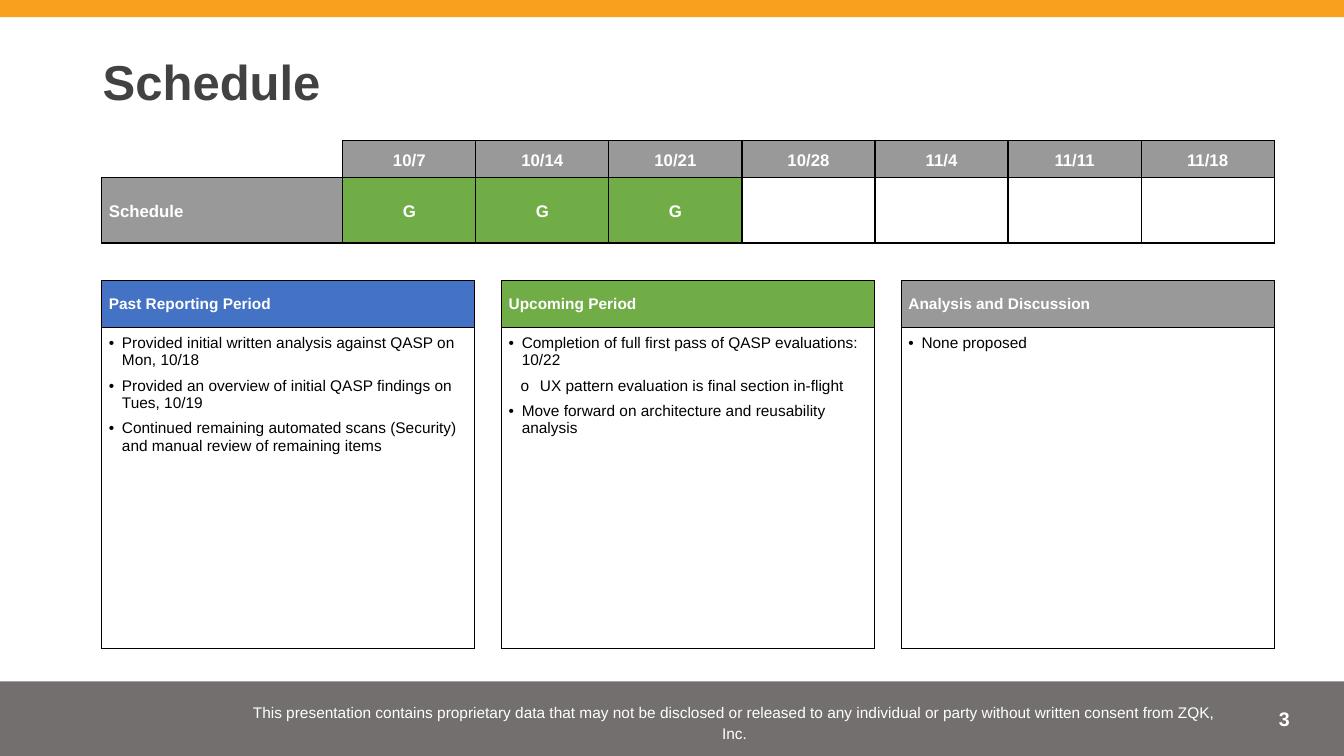
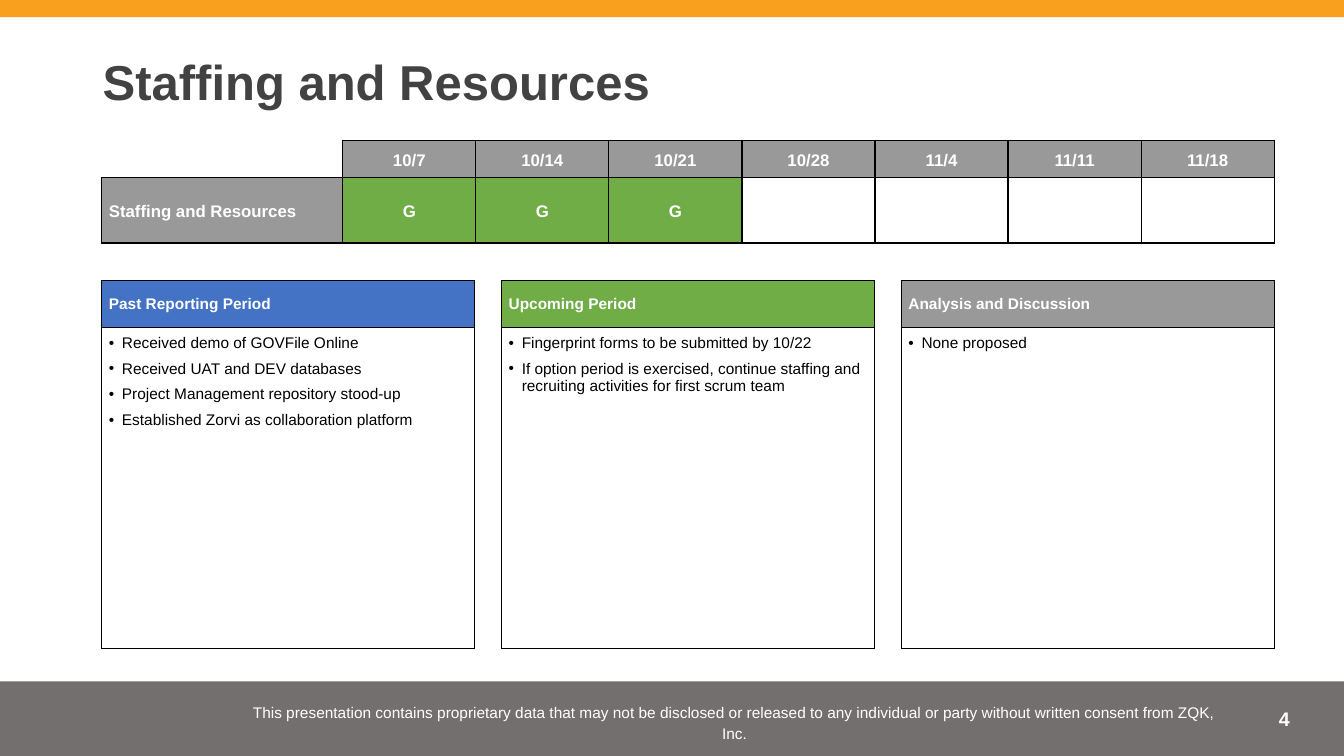
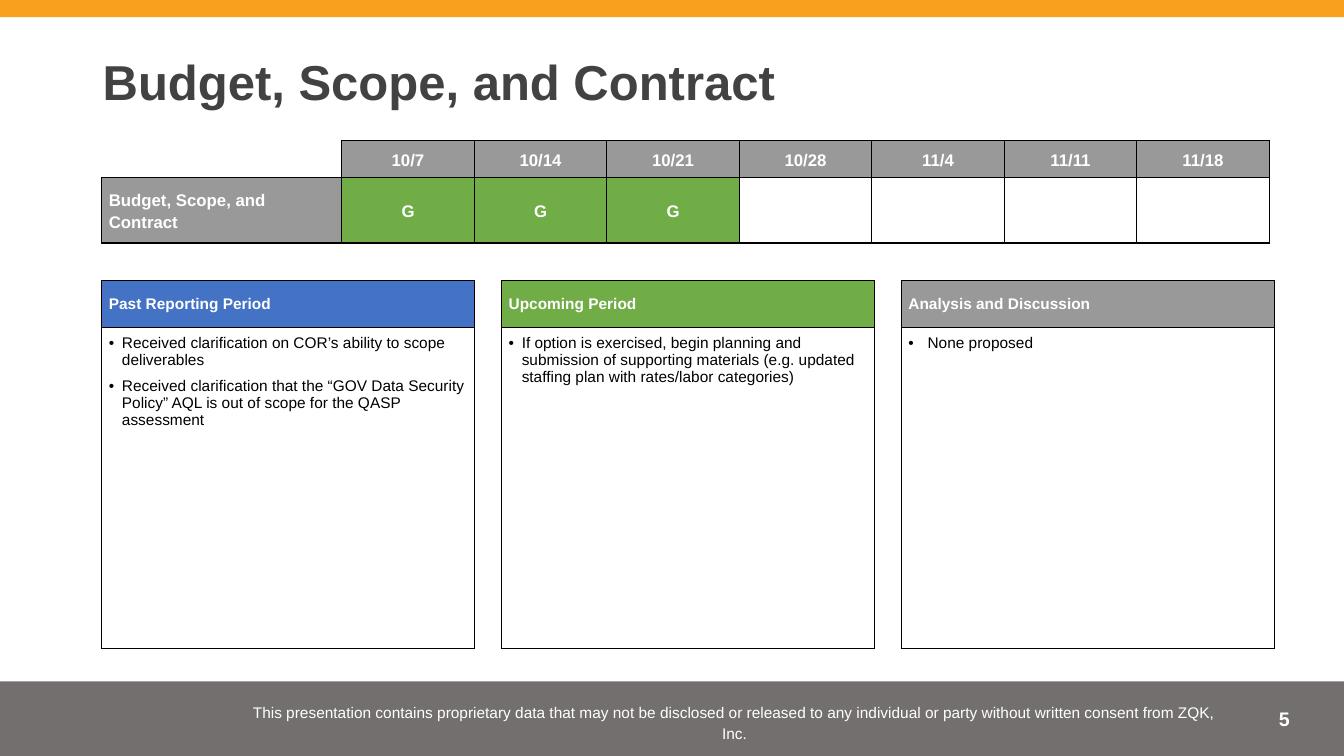
from dataclasses import dataclass
from itertools import product

from lxml.etree import SubElement
from pptx import Presentation
from pptx.dml.color import RGBColor
from pptx.enum.shapes import MSO_SHAPE as Preset
from pptx.enum.text import MSO_ANCHOR as Anchor, PP_ALIGN as Align
from pptx.oxml.ns import qn
from pptx.util import Inches, Pt


@dataclass(frozen=True)
class Theme:
    """Colours, font and type sizes shared by every slide."""
    font: str = "Arial"
    ink: str = "000000"
    paper: str = "FFFFFF"
    heading: str = "424242"
    accent: str = "F9A01E"
    footer: str = "4F4949"
    footer_opacity: int = 79
    blue: str = "4472C4"
    green: str = "70AD47"
    grey: str = "999999"
    title_size: int = 35
    number_size: int = 14
    status_size: int = 12
    body_size: int = 11
    cell_inset: float = 0.07
    border: int = 1


@dataclass(frozen=True)
class Bullet:
    """One list item with its mark and indents in inches."""
    text: str
    mark: str = "•"
    left: float = 0.13
    hang: float = 0.13


@dataclass(frozen=True)
class Report:
    """The content of one status slide."""
    topic: str
    past: list
    upcoming: list
    discussion: list
    status_width: float = 11.63
    label_width: float = 2.39


THEME = Theme()
SLIDE_W, SLIDE_H = 13.33, 7.5
FIRST_NUMBER = 3
NOTICE = ("This presentation contains proprietary data that may not be disclosed or released "
          "to any individual or party without written consent from ZQK, Inc.")
DATES = ["10/7", "10/14", "10/21", "10/28", "11/4", "11/11", "11/18"]
STATUSES = ["G"] * 3 + [""] * 4
REPORTS = [
    Report(
        "Schedule",
        [Bullet("Provided initial written analysis against QASP on Mon, 10/18"),
         Bullet("Provided an overview of initial QASP findings on Tues, 10/19"),
         Bullet("Continued remaining automated scans (Security) and manual review of remaining items")],
        [Bullet("Completion of full first pass of QASP evaluations: 10/22"),
         Bullet("UX pattern evaluation is final section in-flight", "o", 0.31, 0.19),
         Bullet("Move forward on architecture and reusability analysis")],
        [Bullet("None proposed")]),
    Report(
        "Staffing and Resources",
        [Bullet("Received demo of GOVFile Online"),
         Bullet("Received UAT and DEV databases"),
         Bullet("Project Management repository stood-up"),
         Bullet("Established Zorvi as collaboration platform")],
        [Bullet("Fingerprint forms to be submitted by 10/22"),
         Bullet("If option period is exercised, continue staffing and recruiting activities "
                "for first scrum team")],
        [Bullet("None proposed")]),
    Report(
        "Budget, Scope, and Contract",
        [Bullet("Received clarification on COR’s ability to scope deliverables"),
         Bullet("Received clarification that the “GOV Data Security Policy” AQL is out of scope "
                "for the QASP assessment")],
        [Bullet("If option is exercised, begin planning and submission of supporting materials "
                "(e.g. updated staffing plan with rates/labor categories)")],
        [Bullet("None proposed", left=0.19, hang=0.19)],
        status_width=11.58, label_width=2.38),
]


def assign(target, **formats):
    """Set each named format value on the target."""
    for name, value in formats.items():
        setattr(target, name, value)


def inches(*lengths):
    """Convert plain numbers to lengths."""
    return [Inches(length) for length in lengths]


def margins(x, y):
    """Return the four margin settings for the given insets."""
    return {f"margin_{side}": Inches(inset)
            for side, inset in (("left", x), ("right", x), ("top", y), ("bottom", y))}


def write(paragraph, text, size, color, bold=False, **formats):
    """Write one styled run into a paragraph."""
    assign(paragraph, **formats)
    run = paragraph.add_run()
    run.text = text
    assign(run.font, name=THEME.font, size=Pt(size), bold=bold)
    run.font.color.rgb = RGBColor.from_string(color)


def add_band(slide, box, color, opacity=100):
    """Draw a full-width colour band."""
    band = slide.shapes.add_shape(Preset.RECTANGLE, *inches(*box))
    band.shadow.inherit = False
    band.line.fill.background()
    band.fill.solid()
    band.fill.fore_color.rgb = RGBColor.from_string(color)
    if opacity < 100:
        tint = band.fill._xPr.find(qn("a:solidFill"))[0]
        SubElement(tint, qn("a:alpha"), val=str(opacity * 1000))


def add_label(slide, box, text, size, color, anchor=Anchor.MIDDLE, inset_y=0.1, **formats):
    """Place a wrapped text box with one paragraph."""
    frame = slide.shapes.add_textbox(*inches(*box)).text_frame
    assign(frame, word_wrap=True, vertical_anchor=anchor, **margins(0.1, inset_y))
    write(frame.paragraphs[0], text, size, color, **formats)


def add_frame(slide, number, title):
    """Place the bands, footer and title that every slide shares."""
    add_band(slide, (0, 6.76, SLIDE_W, 0.74), THEME.footer, THEME.footer_opacity)
    add_band(slide, (0, 0, SLIDE_W, 0.17), THEME.accent)
    add_label(slide, (11.81, 6.96, 1.08, 0.4), str(number), THEME.number_size, THEME.paper,
              Anchor.TOP, 0.05, bold=True, alignment=Align.RIGHT)
    add_label(slide, (2.27, 6.89, 10.03, 0.53), NOTICE, THEME.body_size, THEME.paper,
              alignment=Align.CENTER, line_spacing=1.15)
    add_label(slide, (0.92, 0.46, 11.5, 0.77), title, THEME.title_size, THEME.heading,
              bold=True, line_spacing=0.9)


def add_grid(slide, box, widths, heights):
    """Add an unbanded table with the given column widths and row heights."""
    table = slide.shapes.add_table(len(heights), len(widths), *inches(*box)).table
    assign(table, first_row=False, horz_banding=False)
    for column, width in zip(table.columns, widths):
        column.width = Inches(width)
    for row, height in zip(table.rows, heights):
        row.height = Inches(height)
    return table


def style_cell(cell, fill=None, sides="LRTB", anchor=Anchor.MIDDLE, inset_y=THEME.cell_inset):
    """Set the borders, insets and fill of a cell."""
    assign(cell, vertical_anchor=anchor, **margins(THEME.cell_inset, inset_y))
    properties = cell._tc.get_or_add_tcPr()
    for side in sides:
        edge = SubElement(properties, qn(f"a:ln{side}"), w=str(Pt(THEME.border)))
        SubElement(SubElement(edge, qn("a:solidFill")), qn("a:srgbClr"), val=THEME.ink)
    if fill:
        cell.fill.solid()
        cell.fill.fore_color.rgb = RGBColor.from_string(fill)
    else:
        cell.fill.background()


def add_status_table(slide, box, topic, label_width):
    """Add the weekly status table for a topic."""
    date_width = (box[2] - label_width) / len(DATES)
    header_height = 0.36
    table = add_grid(slide, box, [label_width] + [date_width] * len(DATES),
                     [header_height, box[3] - header_height])
    rows = [["", *DATES], [topic, *STATUSES]]
    for r, c in product(range(len(rows)), range(len(DATES) + 1)):
        cell, text = table.cell(r, c), rows[r][c]
        if not text:
            style_cell(cell, sides="LRTB" if r or c else "RB", inset_y=0)
            continue
        style_cell(cell, THEME.green if r and c else THEME.grey)
        write(cell.text_frame.paragraphs[0], text, THEME.status_size, THEME.paper, bold=True,
              alignment=Align.CENTER if c else Align.LEFT, line_spacing=1.15)


def write_bullet(paragraph, bullet):
    """Write a bullet with its mark and hanging indent."""
    write(paragraph, bullet.text, THEME.body_size, THEME.ink, space_after=Pt(6))
    properties = paragraph._p.get_or_add_pPr()
    properties.set("marL", str(Inches(bullet.left)))
    properties.set("indent", str(-Inches(bullet.hang)))
    SubElement(SubElement(properties, qn("a:buClr")), qn("a:srgbClr"), val=THEME.ink)
    SubElement(properties, qn("a:buFont"), typeface=THEME.font)
    SubElement(properties, qn("a:buChar"), char=bullet.mark)


def add_panel(slide, box, heading, color, bullets):
    """Add a headed panel with a bullet list."""
    heading_height = 0.47
    table = add_grid(slide, box, [box[2]], [heading_height, box[3] - heading_height])
    head, body = table.cell(0, 0), table.cell(1, 0)
    style_cell(head, color)
    write(head.text_frame.paragraphs[0], heading, THEME.body_size, THEME.paper, bold=True)
    style_cell(body, anchor=Anchor.TOP)
    frame = body.text_frame
    for index, bullet in enumerate(bullets):
        write_bullet(frame.add_paragraph() if index else frame.paragraphs[0], bullet)


def add_panels(slide, box, report):
    """Spread the three panels evenly over the box."""
    left, top, width, height = box
    panels = [("Past Reporting Period", THEME.blue, report.past),
              ("Upcoming Period", THEME.green, report.upcoming),
              ("Analysis and Discussion", THEME.grey, report.discussion)]
    panel_width = 3.7
    step = (width - panel_width) / (len(panels) - 1)
    for index, panel in enumerate(panels):
        add_panel(slide, (left + index * step, top, panel_width, height), *panel)


def add_report(deck, number, report):
    """Build one status slide."""
    slide = deck.slides.add_slide(deck.slide_layouts[6])
    add_frame(slide, number, report.topic)
    add_status_table(slide, (1.01, 1.39, report.status_width, 1.01), report.topic,
                     report.label_width)
    add_panels(slide, (1.01, 2.78, 11.63, 3.65), report)


def main():
    """Build and save the deck."""
    deck = Presentation()
    assign(deck, slide_width=Inches(SLIDE_W), slide_height=Inches(SLIDE_H))
    for number, report in enumerate(REPORTS, FIRST_NUMBER):
        add_report(deck, number, report)
    deck.save("out.pptx")


if __name__ == "__main__":
    main()
